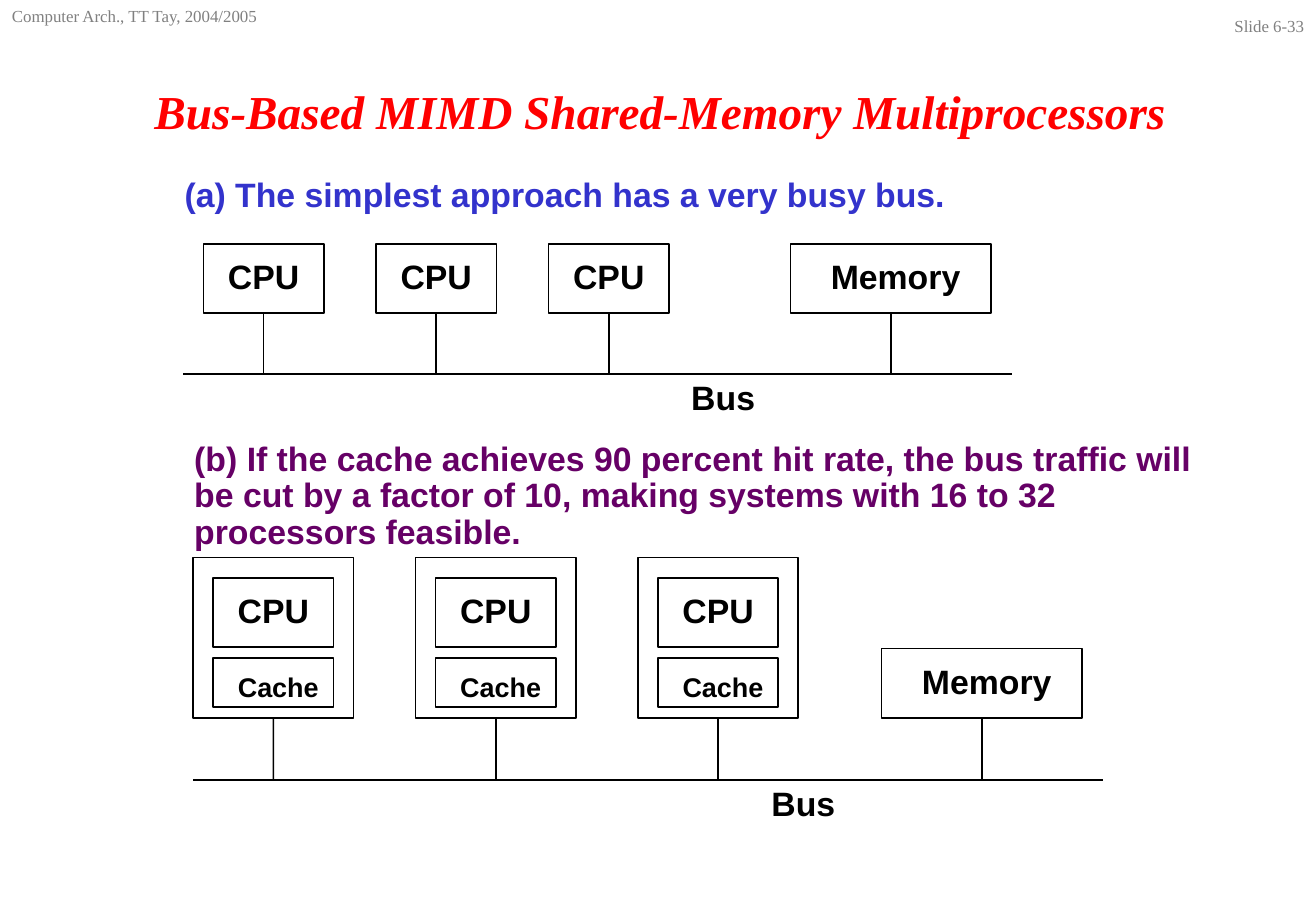
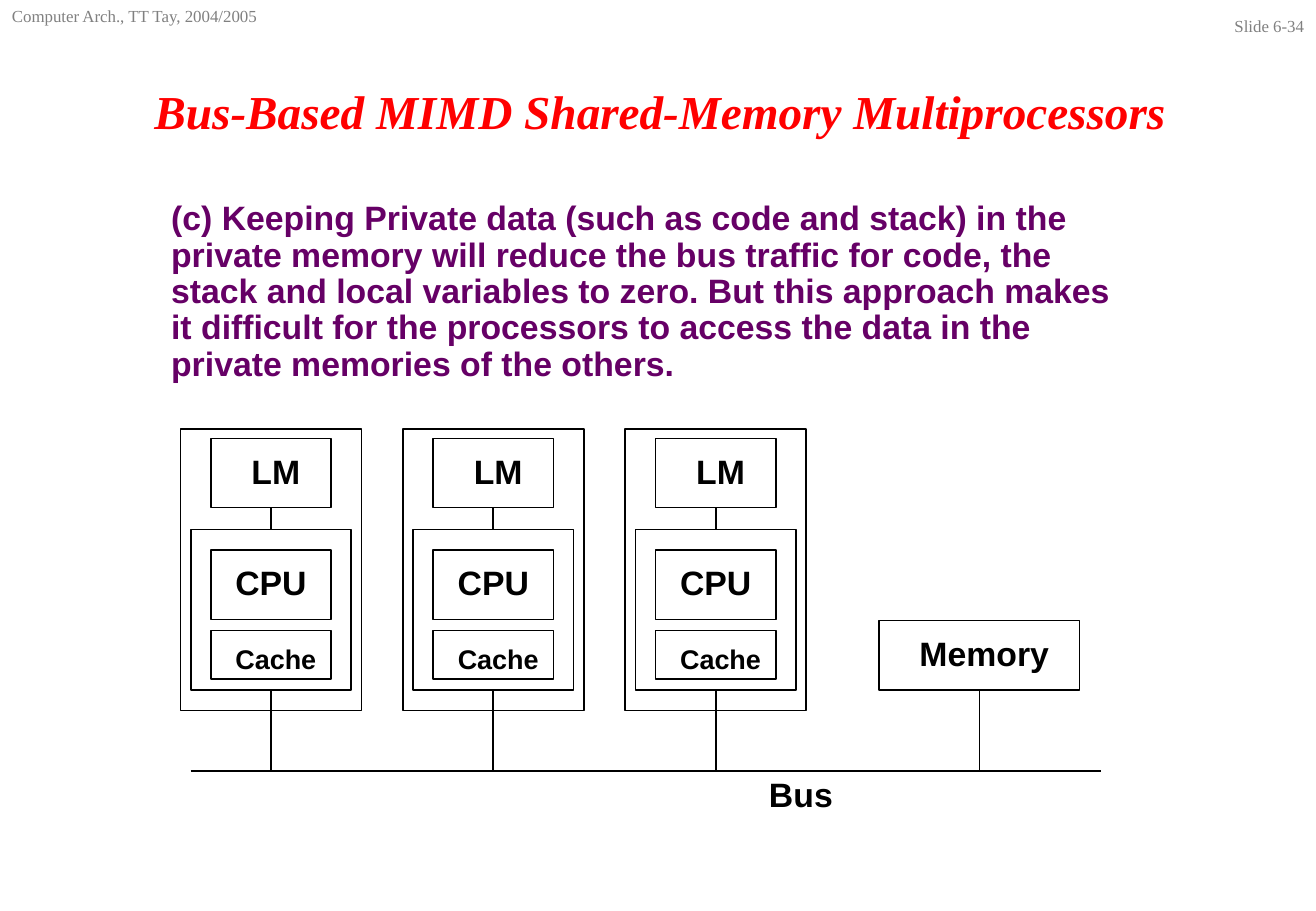
"""Build two slides on bus-based shared-memory multiprocessors."""
import lxml.etree
import pptx
import pptx.dml.color
import pptx.enum.shapes
import pptx.enum.text
import pptx.oxml.ns
import pptx.util

Inches = pptx.util.Inches
ALIGN = pptx.enum.text.PP_ALIGN
ANCHOR = pptx.enum.text.MSO_ANCHOR

BLACK, GREY, RED, BLUE, PURPLE = "000000", "808080", "FF0000", "3333CC", "660066"
HEADER = {"name": "Times New Roman", "size": pptx.util.Pt(10)}
TITLE = {"name": "Times New Roman", "size": pptx.util.Pt(28), "bold": True, "italic": True}
BODY = {"name": "Arial", "size": pptx.util.Pt(20), "bold": True}
SMALL = {**BODY, "size": pptx.util.Pt(16)}

COURSE = "Computer Arch., TT Tay, 2004/2005"
HEADING = "Bus-Based MIMD Shared-Memory Multiprocessors"

BOXES = {
    "Outer": {"size": (1.49, 2.32)},
    "Module": {"size": (1.32, 1.32)},
    "LM": {"size": (0.99, 0.57), "text": "LM", "left": 0.08},
    "CPU": {"size": (0.99, 0.57), "text": "CPU"},
    "Cache": {"size": (0.99, 0.4), "text": "Cache", "left": 0.08, "top": 0.1, "style": SMALL},
    "Memory": {"size": (1.65, 0.57), "text": "Memory", "left": 0.08},
}
CACHED = {"Module": -1.32, "CPU": -1.15, "Cache": -0.49}
PRIVATE = {"Outer": -2.15, "LM": -2.07, **CACHED}

SLIDES = [
    ("Slide 6-33", [
        {"text": "(a) The simplest approach has a very busy bus.",
         "color": BLUE, "at": (1.42, 1.42, 7.25, 0.4),
         "node": {"CPU": -0.57}, "wired": "CPU", "base": 2.58, "first": 2.17, "pitch": 1.42,
         "memory": 7.33, "bus": (1.51, 8.33, 3.08), "label": 5.59},
        {"text": "(b) If the cache achieves 90 percent hit rate, the bus traffic will be cut by "
                 "a factor of 10, making systems with 16 to 32 processors feasible.",
         "color": PURPLE, "at": (1.5, 3.59, 8.41, 1),
         "node": CACHED, "wired": "Module", "base": 5.91, "first": 2.25, "pitch": 1.83,
         "memory": 8.08, "bus": (1.59, 9.08, 6.42), "label": 6.25},
    ]),
    ("Slide 6-34", [
        {"text": "(c) Keeping Private data (such as code and stack) in the private memory will "
                 "reduce the bus traffic for code, the stack and local variables to zero. But "
                 "this approach makes it difficult for the processors to access the data in the "
                 "private memories of the others.",
         "color": PURPLE, "at": (1.31, 1.61, 8.08, 1.6),
         "node": PRIVATE, "wired": "Module", "base": 5.68, "first": 2.23, "pitch": 1.83,
         "memory": 8.06, "bus": (1.57, 9.06, 6.35), "label": 6.23},
    ]),
]


def rgb(color):
    return pptx.dml.color.RGBColor.from_string(color)


def write(tf, text, style, color, align=ALIGN.LEFT, anchor=ANCHOR.TOP, spacing=0.9):
    tf.word_wrap = True
    tf.vertical_anchor = anchor
    p = tf.paragraphs[0]
    p.alignment = align
    p.line_spacing = spacing
    r = p.add_run()
    r.text = text
    for name, value in style.items():
        setattr(r.font, name, value)
    r.font.color.rgb = rgb(color)


def add_text(s, at, *args, **kwargs):
    write(s.shapes.add_textbox(*map(Inches, at)).text_frame, *args, **kwargs)


def outline(shape):
    shape.line.color.rgb = rgb(BLACK)
    shape.line.width = pptx.util.Pt(1)


def add_box(s, kind, center, top):
    box = BOXES[kind]
    w, h = box["size"]
    sp = s.shapes.add_shape(pptx.enum.shapes.MSO_SHAPE.RECTANGLE,
                            *map(Inches, (center - w / 2, top, w, h)))
    sp.shadow.inherit = False
    sp.fill.background()
    outline(sp)
    if "text" in box:
        tf = sp.text_frame
        tf.margin_right = tf.margin_bottom = 0
        tf.margin_left = Inches(box.get("left", 0))
        tf.margin_top = Inches(box.get("top", 0))
        write(tf, box["text"], box.get("style", BODY), BLACK, ALIGN.CENTER, ANCHOR.MIDDLE)
    return sp


def add_line(s, x1, y1, x2, y2, start=None, end=None):
    line = s.shapes.add_connector(pptx.enum.shapes.MSO_CONNECTOR.STRAIGHT,
                                  *map(Inches, (x1, y1, x2, y2)))
    outline(line)
    lxml.etree.SubElement(line._element.spPr, pptx.oxml.ns.qn("a:effectLst"))
    if start is not None:
        line.begin_connect(start, 2)
    if end is not None:
        line.end_connect(end, 0)


def add_diagram(s, d):
    add_text(s, d["at"], d["text"], BODY, d["color"])
    base = d["base"]
    bus_left, bus_right, bus_y = d["bus"]
    for i in range(3):
        center = d["first"] + i * d["pitch"]
        parts = {kind: add_box(s, kind, center, base + rise) for kind, rise in d["node"].items()}
        add_line(s, center, base, center, bus_y, parts[d["wired"]])
        if "LM" in parts:
            add_line(s, center, base, center, base, parts["LM"], parts["Module"])
    memory = add_box(s, "Memory", d["memory"], base - BOXES["Memory"]["size"][1])
    add_line(s, d["memory"], base, d["memory"], bus_y, memory)
    add_line(s, bus_left, bus_y, bus_right, bus_y)
    add_text(s, (d["label"], bus_y + 0.01, 1.25, 0.4), "Bus", BODY, BLACK)


def main():
    prs = pptx.Presentation()
    prs.slide_width, prs.slide_height = Inches(10.83), Inches(7.5)
    for number, diagrams in SLIDES:
        s = prs.slides.add_slide(prs.slide_layouts[6])
        add_text(s, (9.83, 0.08, 1, 0.25), number, HEADER, GREY, ALIGN.RIGHT, spacing=1.0)
        add_text(s, (0, 0, 2.43, 0.33), COURSE, HEADER, GREY, spacing=1.0)
        add_text(s, (0.83, 0.58, 9.2, 0.67), HEADING, TITLE, RED, ALIGN.CENTER, ANCHOR.MIDDLE, 1.0)
        for d in diagrams:
            add_diagram(s, d)
    prs.save("out.pptx")


if __name__ == "__main__":
    main()
